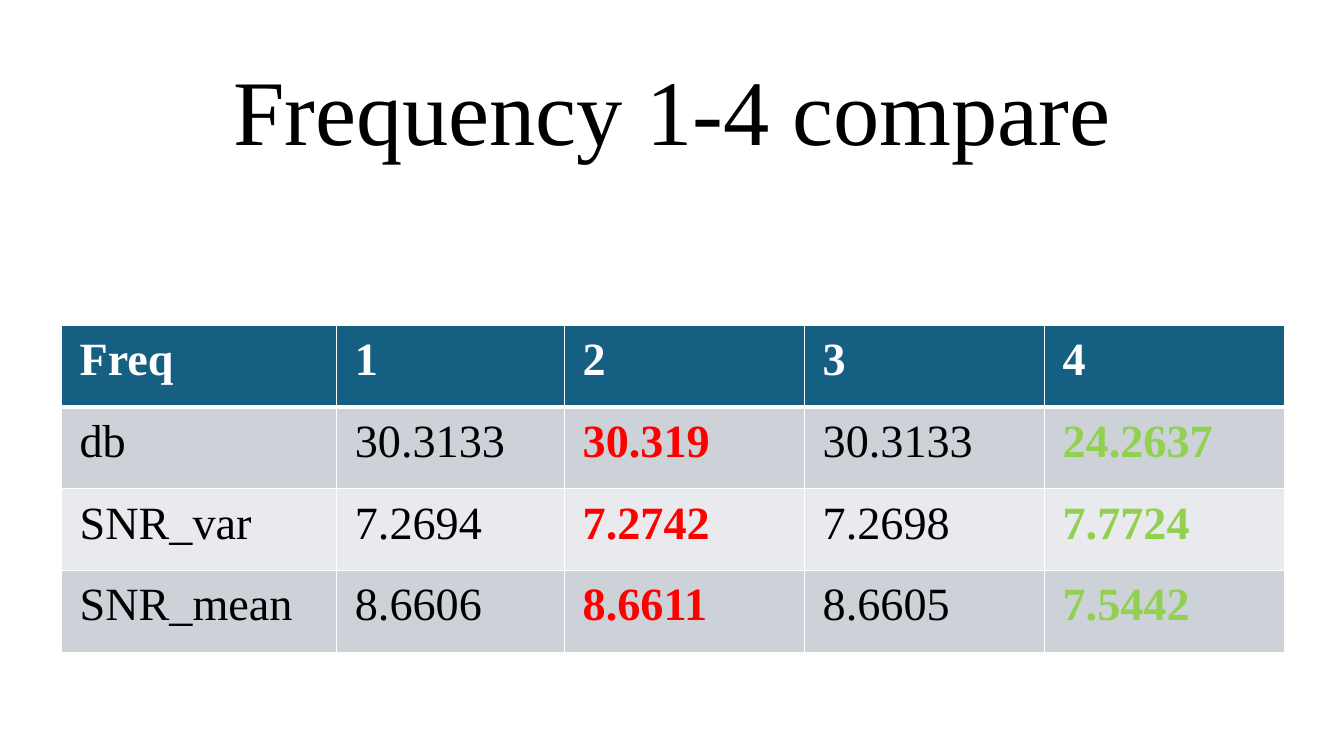
import pptx
import pptx.util
from lxml import etree
from pptx.dml.color import RGBColor
from pptx.enum.text import MSO_ANCHOR, PP_ALIGN
from pptx.oxml.ns import qn
from pptx.util import Inches, Pt

# Content
TITLE = "Frequency 1-4 compare"
ROWS = [
    ("Freq", "1", "2", "3", "4"),
    ("db", "30.3133", "30.319", "30.3133", "24.2637"),
    ("SNR_var", "7.2694", "7.2742", "7.2698", "7.7724"),
    ("SNR_mean", "8.6606", "8.6611", "8.6605", "7.5442"),
]
COLUMN_WIDTHS = (2.73, 2.26, 2.38, 2.38, 2.38)
ROW_HEIGHT = 0.81

# Style
FONT = "Times New Roman"
BLACK = RGBColor(0x00, 0x00, 0x00)
WHITE = RGBColor(0xFF, 0xFF, 0xFF)
HEADER_FILL = RGBColor(0x15, 0x60, 0x82)
BAND_FILLS = (RGBColor(0xCC, 0xD2, 0xD8), RGBColor(0xE8, 0xEA, 0xED))
HIGHLIGHTS = {2: RGBColor(0xFF, 0x00, 0x00), 4: RGBColor(0x92, 0xD0, 0x50)}


def set_font(paragraph, size, color, bold=False):
    font = paragraph.font
    font.name, font.size, font.bold = FONT, Pt(size), bold
    font.color.rgb = color


def add_borders(cell, top, bottom):
    properties = cell._tc.get_or_add_tcPr()
    for side, width in (("L", 1), ("R", 1), ("T", top), ("B", bottom)):
        line = etree.SubElement(properties, qn(f"a:ln{side}"), w=str(Pt(width)))
        fill = etree.SubElement(line, qn("a:solidFill"))
        etree.SubElement(fill, qn("a:srgbClr"), val=str(WHITE))


def format_cell(cell, text, row, column):
    cell.text = text
    cell.margin_left = cell.margin_right = Inches(0.18)
    cell.margin_top = cell.margin_bottom = Inches(0.09)
    add_borders(cell, top=3 if row == 1 else 1, bottom=3 if row == 0 else 1)
    is_header = row == 0
    cell.fill.solid()
    cell.fill.fore_color.rgb = HEADER_FILL if is_header else BAND_FILLS[(row - 1) % 2]
    color = WHITE if is_header else HIGHLIGHTS.get(column, BLACK)
    set_font(cell.text_frame.paragraphs[0], 33, color, is_header or column in HIGHLIGHTS)


def main():
    presentation = pptx.Presentation()
    presentation.slide_width = Inches(13.33)
    presentation.slide_height = Inches(7.5)
    slide = presentation.slides.add_slide(presentation.slide_layouts[6])

    # Title
    title = slide.shapes.add_textbox(Inches(0.7), Inches(0.46), Inches(11.93), Inches(1.37))
    title.text_frame.word_wrap = True
    title.text_frame.vertical_anchor = MSO_ANCHOR.MIDDLE
    paragraph = title.text_frame.paragraphs[0]
    paragraph.text = TITLE
    paragraph.alignment = PP_ALIGN.CENTER
    paragraph.line_spacing = 0.9
    set_font(paragraph, 66, BLACK)

    # Comparison table
    table = slide.shapes.add_table(
        len(ROWS), len(COLUMN_WIDTHS), Inches(0.61), Inches(3.23),
        Inches(sum(COLUMN_WIDTHS)), Inches(ROW_HEIGHT * len(ROWS)),
    ).table
    for column, width in zip(table.columns, COLUMN_WIDTHS):
        column.width = Inches(width)
    for row, values in enumerate(ROWS):
        table.rows[row].height = Inches(ROW_HEIGHT)
        for column, text in enumerate(values):
            format_cell(table.cell(row, column), text, row, column)

    presentation.save("out.pptx")


if __name__ == "__main__":
    main()
